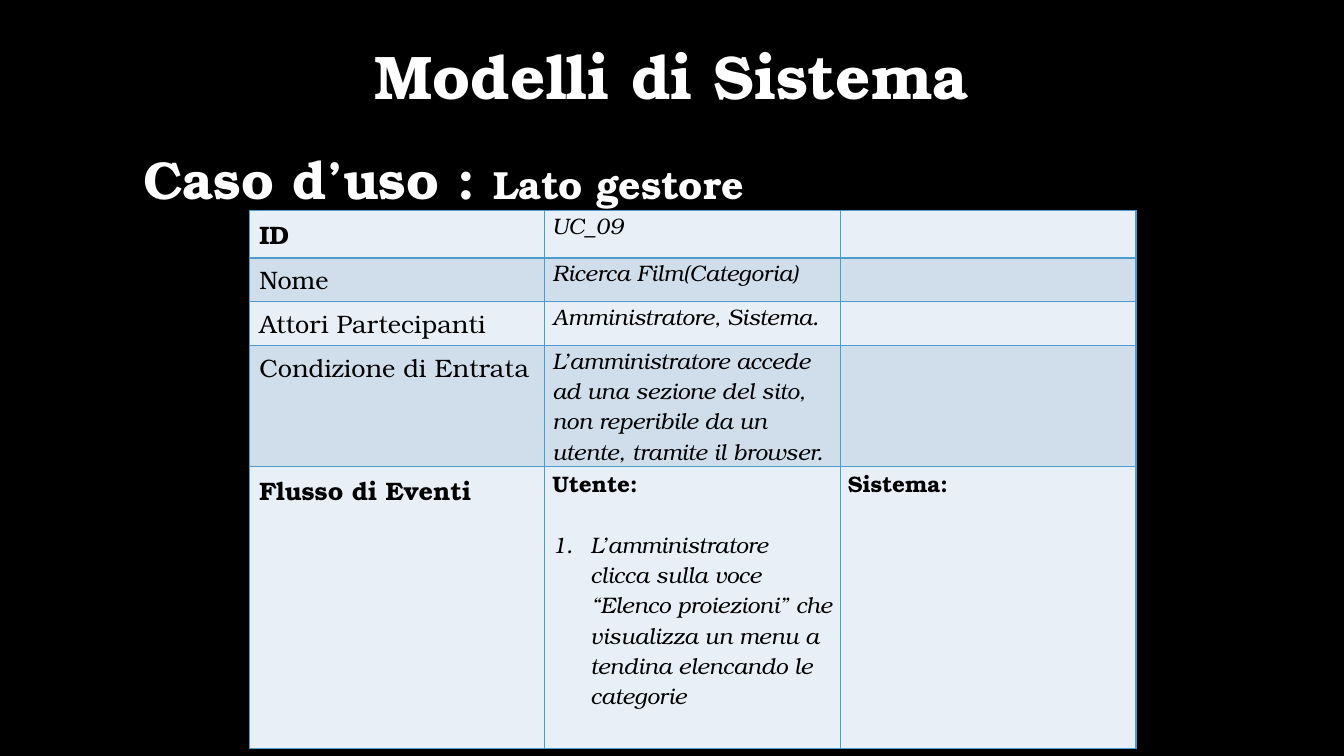
from lxml.etree import SubElement
from pptx import Presentation
from pptx.dml.color import RGBColor
from pptx.enum.shapes import MSO_SHAPE
from pptx.enum.text import MSO_ANCHOR, PP_ALIGN
from pptx.oxml.ns import qn
from pptx.util import Cm, Pt

FONT = "TeX Gyre Bonum"
BLACK = RGBColor(0x00, 0x00, 0x00)
WHITE = RGBColor(0xFF, 0xFF, 0xFF)
BORDER = RGBColor(0x4A, 0x9C, 0xCC)
BANDS = [RGBColor(0xE9, 0xEF, 0xF6), RGBColor(0xD0, 0xDE, 0xEC)]

TITLE = {"runs": [("Modelli di Sistema", 44)], "box": (0, 1.04, 33.87, 2.24),
         "align": PP_ALIGN.CENTER}
SUBTITLE = {"runs": [("Caso d’uso : ", 38), ("Lato gestore", 28)],
            "box": (3.36, 3.75, 27.15, 14.68), "align": PP_ALIGN.LEFT}

LABEL = {"size": Pt(18)}
HEADING = {"size": Pt(18), "bold": True}
VALUE = {"size": Pt(16), "italic": True}
ACTOR = {"size": Pt(16), "bold": True}

# Row height in cm, then the paragraphs of each cell as (text, format)
ROWS = [
    (1.19, [[("ID", HEADING)], [("UC_09", VALUE)], []]),
    (1.1, [[("Nome", LABEL)], [("Ricerca Film(Categoria)", VALUE)], []]),
    (1.1, [[("Attori Partecipanti", LABEL)], [("Amministratore, Sistema.", VALUE)], []]),
    (3.05, [[("Condizione di Entrata", LABEL)],
            [("L’amministratore accede ad una sezione del sito, non reperibile "
              "da un utente, tramite il browser.", VALUE)], []]),
    (7.1, [[("Flusso di Eventi", HEADING)],
           [("Utente:", ACTOR),
            ("L’amministratore clicca sulla voce “Elenco proiezioni” che "
             "visualizza un menu a tendina elencando le categorie", VALUE)],
           [("Sistema:", ACTOR)]]),
]
TABLE_LEFT, TABLE_TOP, COL_WIDTH, COLS = 6.28, 5.31, 7.45, 3


def add_run(p, text, color, **values):
    r = p.add_run()
    r.text = text
    r.font.name = FONT
    r.font.color.rgb = color
    for name, value in values.items():
        setattr(r.font, name, value)


def add_heading(slide, runs, box, align):
    sp = slide.shapes.add_shape(MSO_SHAPE.RECTANGLE, *map(Cm, box))
    sp.shadow.inherit = False
    sp.fill.solid()
    sp.fill.fore_color.rgb = BLACK
    sp.line.fill.background()
    tf = sp.text_frame
    tf.word_wrap = True
    tf.vertical_anchor = MSO_ANCHOR.TOP
    p = tf.paragraphs[0]
    p.alignment = align
    p.line_spacing = 0.9
    for text, size in runs:
        add_run(p, text, WHITE, size=Pt(size), bold=True)


def number_paragraph(p):
    pPr = p._p.get_or_add_pPr()
    pPr.set("marL", str(Cm(0.96)))
    pPr.set("indent", str(-Cm(0.96)))
    SubElement(pPr, qn("a:buFont"), typeface="+mj-lt")
    SubElement(pPr, qn("a:buAutoNum"), type="arabicPeriod")


def add_borders(cell):
    tcPr = cell._tc.get_or_add_tcPr()
    for i, side in enumerate(("lnL", "lnR", "lnT", "lnB")):
        ln = tcPr.makeelement(qn(f"a:{side}"), {"w": str(Pt(1))})
        fill = SubElement(ln, qn("a:solidFill"))
        SubElement(fill, qn("a:srgbClr"), val=str(BORDER))
        tcPr.insert(i, ln)


def fill_cell(cell, paragraphs, band, is_label):
    cell.fill.solid()
    cell.fill.fore_color.rgb = band
    add_borders(cell)
    if paragraphs and not is_label:
        cell.margin_left = cell.margin_right = Cm(0.19)
        cell.margin_top = cell.margin_bottom = 0
    tf = cell.text_frame
    for i, (text, style) in enumerate(paragraphs):
        p = tf.add_paragraph() if i else tf.paragraphs[0]
        if style is HEADING:
            p.space_before = Pt(2)
        if i:
            p.space_before = Pt(21.6)
            number_paragraph(p)
        add_run(p, text, BLACK, **style)


def add_use_case(slide):
    height = sum(h for h, _ in ROWS)
    table = slide.shapes.add_table(
        len(ROWS), COLS, Cm(TABLE_LEFT), Cm(TABLE_TOP),
        Cm(COL_WIDTH * COLS), Cm(height)).table
    for col in table.columns:
        col.width = Cm(COL_WIDTH)
    for r, (row_height, cells) in enumerate(ROWS):
        table.rows[r].height = Cm(row_height)
        for c, paragraphs in enumerate(cells):
            fill_cell(table.cell(r, c), paragraphs, BANDS[r % 2], c == 0)


def main():
    prs = Presentation()
    prs.slide_width, prs.slide_height = Cm(33.87), Cm(19.05)
    slide = prs.slides.add_slide(prs.slide_layouts[6])
    slide.background.fill.solid()
    slide.background.fill.fore_color.rgb = BLACK
    for heading in (TITLE, SUBTITLE):
        add_heading(slide, **heading)
    add_use_case(slide)
    prs.save("out.pptx")


if __name__ == "__main__":
    main()
